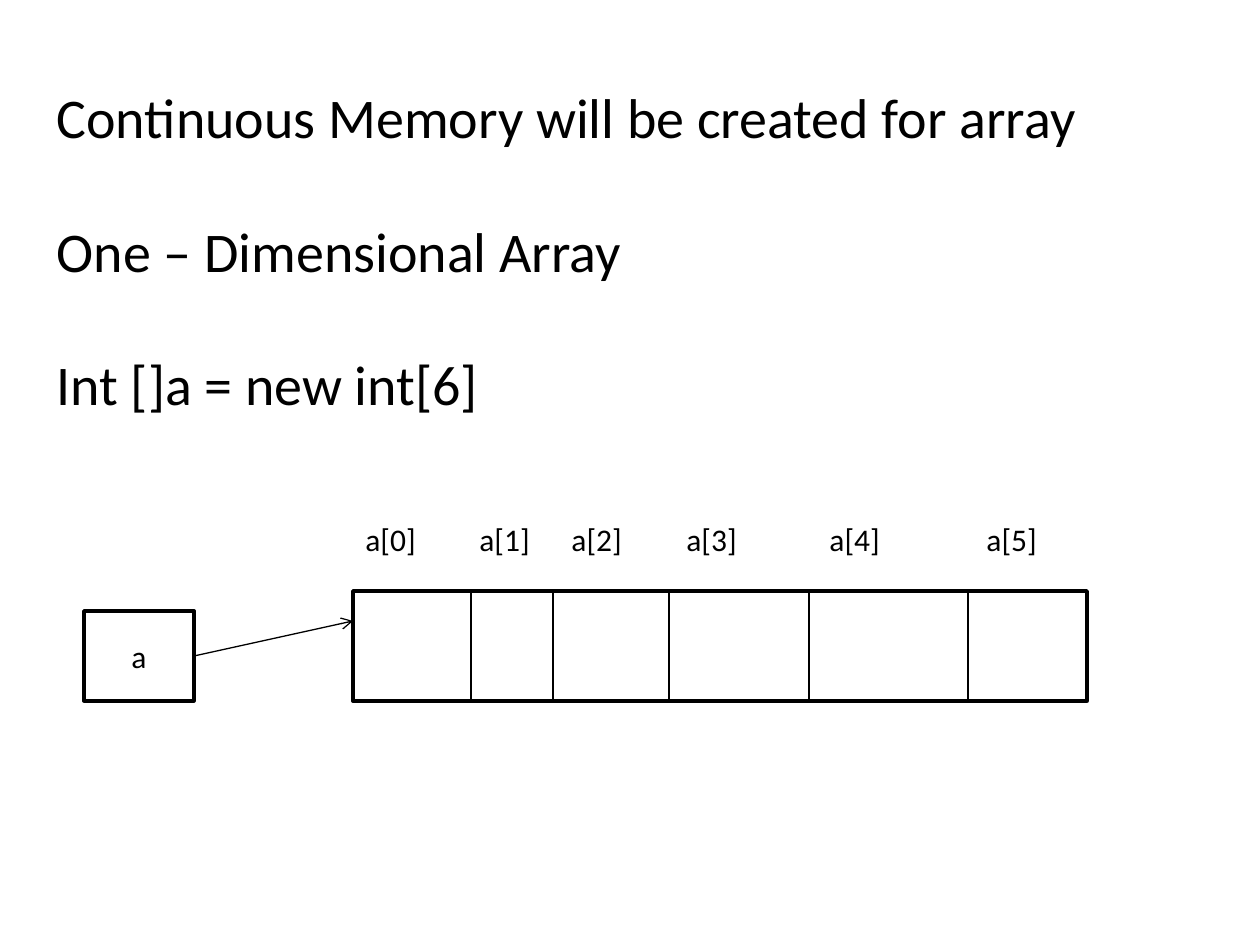
from lxml import etree
from pptx import Presentation
from pptx.dml.color import RGBColor
from pptx.enum.shapes import MSO_CONNECTOR, MSO_SHAPE
from pptx.enum.text import MSO_ANCHOR, MSO_AUTO_SIZE, PP_ALIGN
from pptx.oxml.ns import qn
from pptx.util import Pt

BLACK = RGBColor(0, 0, 0)
WHITE = RGBColor(255, 255, 255)
FONT = "Calibri"
RECTANGLE = MSO_SHAPE.RECTANGLE
STRAIGHT = MSO_CONNECTOR.STRAIGHT
MIDDLE, TOP = MSO_ANCHOR.MIDDLE, MSO_ANCHOR.TOP
NO_AUTOFIT = MSO_AUTO_SIZE.NONE
LEFT, CENTER = PP_ALIGN.LEFT, PP_ALIGN.CENTER

STATEMENTS = [
    "Continuous Memory will be created for array",
    "One – Dimensional Array",
    "Int []a = new int[6]",
]
ARRAY_LEFT, ARRAY_TOP, ARRAY_WIDTH, ARRAY_HEIGHT = 353, 591, 734, 110
DIVIDERS = [471, 553, 669, 809, 968]
LABEL_TABS = [114, 206, 321, 464, 621]


def px(n):
    """Convert pixels at 126 to the inch into EMU."""
    return n * 914400 // 126


def write(p, text, size=18, align=LEFT, after=0):
    """Fill a paragraph with one formatted run."""
    p.alignment = align
    p.space_before, p.space_after = Pt(0), Pt(after)
    r = p.add_run()
    r.text = text
    r.font.name, r.font.size = FONT, Pt(size)
    r.font.color.rgb = BLACK


def add_statements(s):
    """Put the statements in the body placeholder without bullets."""
    title, body = s.shapes.title, s.placeholders[1]
    title.element.getparent().remove(title.element)
    body.left, body.top, body.width, body.height = px(44), px(76), px(1142), px(525)
    tf = body.text_frame
    tf.word_wrap, tf.auto_size, tf.vertical_anchor = True, NO_AUTOFIT, TOP
    for i, text in enumerate(STATEMENTS):
        p = tf.paragraphs[0] if i == 0 else tf.add_paragraph()
        write(p, text, size=32, after=38)
        pPr = p._p.get_or_add_pPr()
        pPr.set("marL", "0")
        pPr.set("indent", "0")
        etree.SubElement(pPr, qn("a:buNone"))


def add_box(s, x, y, w, h, text=""):
    """Add a white rectangle with a black outline and optional text."""
    sp = s.shapes.add_shape(RECTANGLE, px(x), px(y), px(w), px(h))
    sp.shadow.inherit = False
    sp.fill.solid()
    sp.fill.fore_color.rgb = WHITE
    sp.line.color.rgb, sp.line.width = BLACK, Pt(2)
    if text:
        sp.text_frame.vertical_anchor = MIDDLE
        write(sp.text_frame.paragraphs[0], text, align=CENTER)


def add_line(s, x1, y1, x2, y2, arrow=False):
    """Add a thin black line, with an open arrowhead if asked."""
    line = s.shapes.add_connector(STRAIGHT, px(x1), px(y1), px(x2), px(y2))
    line.line.color.rgb, line.line.width = BLACK, Pt(0.75)
    if arrow:
        etree.SubElement(line.line._get_or_add_ln(), qn("a:tailEnd"), type="arrow")
    etree.SubElement(line._element.spPr, qn("a:effectLst"))


def add_index_labels(s):
    """Add the element names on one line, spaced by tab stops."""
    tb = s.shapes.add_textbox(px(ARRAY_LEFT), px(514), px(ARRAY_WIDTH), px(50))
    tb.text_frame.word_wrap = True
    p = tb.text_frame.paragraphs[0]
    write(p, "\t".join(f"a[{i}]" for i in range(len(LABEL_TABS) + 1)))
    tabs = etree.SubElement(p._p.get_or_add_pPr(), qn("a:tabLst"))
    for x in LABEL_TABS:
        etree.SubElement(tabs, qn("a:tab"), pos=str(px(x)), algn="l")


def main():
    """Build the slide and save it."""
    prs = Presentation()
    prs.slide_width, prs.slide_height = px(1260), px(945)
    s = prs.slides.add_slide(prs.slide_layouts[1])
    add_statements(s)
    add_box(s, 84, 611, 110, 90, "a")
    add_box(s, ARRAY_LEFT, ARRAY_TOP, ARRAY_WIDTH, ARRAY_HEIGHT)
    for x in DIVIDERS:
        add_line(s, x, ARRAY_TOP, x, ARRAY_TOP + ARRAY_HEIGHT)
    add_line(s, 194, 656, ARRAY_LEFT, 621, arrow=True)
    add_index_labels(s)
    prs.save("out.pptx")


if __name__ == "__main__":
    main()
